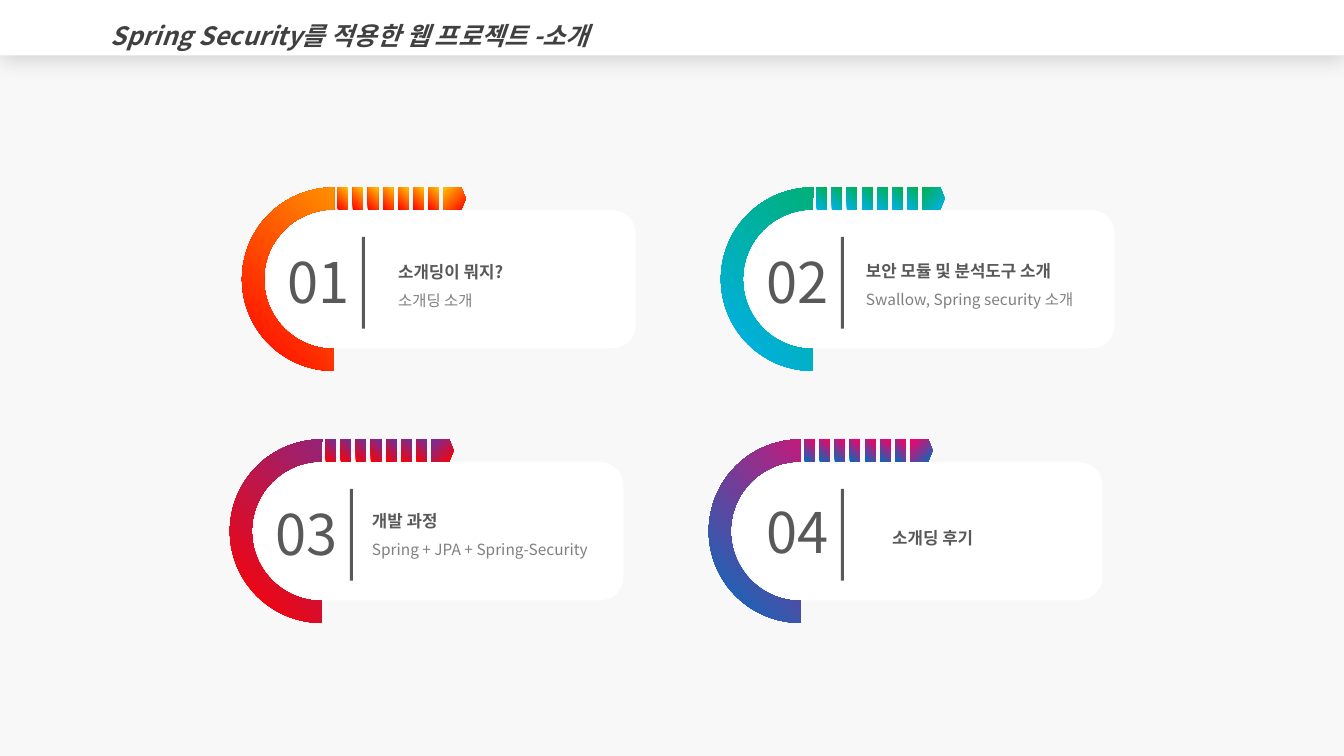
import dataclasses
import typing

import lxml.etree
import pptx
import pptx.dml.color
import pptx.enum.shapes
import pptx.enum.text
import pptx.oxml.ns
import pptx.shapes.autoshape
import pptx.shapes.shapetree
import pptx.slide
import pptx.util

EMU_PER_PX = 9144
FONT = "Noto Sans CJK KR"
WHITE = "FFFFFF"
DARK_GRAY = "595959"
SEGMENT_COUNT = 7
SEGMENT_PITCH = 15
Shape = pptx.shapes.autoshape.Shape
Shapes = typing.Union[pptx.shapes.shapetree.SlideShapes, pptx.shapes.shapetree.GroupShapes]
Preset = pptx.enum.shapes.MSO_SHAPE


class Box(typing.NamedTuple):
    left: int
    top: int
    width: int
    height: int


@dataclasses.dataclass(frozen=True)
class Topic:
    number: str
    lines: tuple[str, ...]
    left: int
    top: int
    colors: tuple[str, str]
    caption: Box
    number_at: tuple[int, int] = (35, 55)
    divider_at: tuple[int, int] = (119, 49)


TOPICS = (
    Topic("01", ("소개딩이 뭐지?", "소개딩 소개"), 240, 186,
          ("FF0000", "FFC000"), Box(385, 245, 251, 65)),
    Topic("02", ("보안 모듈 및 분석도구 소개", "Swallow, Spring security 소개"), 715, 186,
          ("00B0F0", "00B050"), Box(849, 244, 269, 65)),
    Topic("03", ("개발 과정", "Spring + JPA + Spring-Security"), 228, 436,
          ("FF0000", "7030A0"), Box(359, 492, 318, 67)),
    Topic("04", ("소개딩 후기",), 703, 436,
          ("0070C0", "FF0066"), Box(875, 509, 251, 36), (47, 53), (131, 49)),
)


def px(length: int) -> pptx.util.Emu:
    return pptx.util.Emu(length * EMU_PER_PX)


def rgb(color: str) -> pptx.dml.color.RGBColor:
    return pptx.dml.color.RGBColor.from_string(color)


def add_shape(shapes: Shapes, preset: Preset, box: Box, colors: tuple[str, ...],
              rotation: int = 0) -> Shape:
    shape = shapes.add_shape(preset, *map(px, box))
    shape.shadow.inherit = False
    shape.line.fill.background()
    shape.rotation = rotation
    if len(colors) == 1:
        shape.fill.solid()
        shape.fill.fore_color.rgb = rgb(colors[0])
    else:
        shape.fill.gradient()
        shape.fill.gradient_angle = 45
        for stop, color in zip(shape.fill.gradient_stops, colors):
            stop.color.rgb = rgb(color)
    return shape


def format_paragraph(paragraph: typing.Any, size: int, color: str, bold: bool = False,
                     italic: bool = False, spacing: float = 1.0) -> None:
    paragraph.alignment = pptx.enum.text.PP_ALIGN.LEFT
    paragraph.line_spacing = spacing
    for run in paragraph.runs:
        run.font.name = FONT
        run.font.size = pptx.util.Pt(size)
        run.font.bold = bold
        run.font.italic = italic
        run.font.color.rgb = rgb(color)
        east_asian = lxml.etree.SubElement(run.font._element, pptx.oxml.ns.qn("a:ea"))
        east_asian.set("typeface", FONT)


def add_text_box(slide: pptx.slide.Slide, box: Box, text: str, wrap: bool) -> typing.Any:
    text_frame = slide.shapes.add_textbox(*map(px, box)).text_frame
    text_frame.word_wrap = wrap
    text_frame.auto_size = pptx.enum.text.MSO_AUTO_SIZE.SHAPE_TO_FIT_TEXT
    text_frame.text = text
    return text_frame


def add_header_shadow(shape: Shape) -> None:
    qn = pptx.oxml.ns.qn
    effects = lxml.etree.SubElement(shape.element.spPr, qn("a:effectLst"))
    shadow = lxml.etree.SubElement(
        effects, qn("a:outerShdw"), blurRad=str(pptx.util.Pt(15)),
        dist=str(pptx.util.Pt(3)), dir="5400000", algn="t", rotWithShape="0")
    color = lxml.etree.SubElement(shadow, qn("a:srgbClr"), val="000000")
    lxml.etree.SubElement(color, qn("a:alpha"), val="15000")


def add_header(slide: pptx.slide.Slide) -> None:
    title = slide.shapes.title
    title.left, title.top, title.width, title.height = map(px, Box(0, 0, 1333, 55))
    title.fill.solid()
    title.fill.fore_color.rgb = rgb(WHITE)
    add_header_shadow(title)
    text_frame = title.text_frame
    text_frame.text = "Spring Security를 적용한 웹 프로젝트 -소개"
    text_frame.auto_size = pptx.enum.text.MSO_AUTO_SIZE.NONE
    text_frame.vertical_anchor = pptx.enum.text.MSO_ANCHOR.MIDDLE
    text_frame.margin_left = px(110)
    format_paragraph(text_frame.paragraphs[0], 18, "404040", True, True, 1.5)


def add_ribbon(slide: pptx.slide.Slide, topic: Topic) -> None:
    shapes = slide.shapes.add_group_shape().shapes
    left, top = topic.left, topic.top
    arc = add_shape(shapes, Preset.BLOCK_ARC, Box(left, top, 182, 182), topic.colors)
    for index, value in enumerate((53.956, 162.149, 0.12)):
        arc.adjustments[index] = value
    rail = left + 95
    for index in range(SEGMENT_COUNT):
        segment = Box(rail + index * SEGMENT_PITCH, top, 10, 22)
        add_shape(shapes, Preset.RECTANGLE, segment, topic.colors)
    arrow = Box(rail + SEGMENT_COUNT * SEGMENT_PITCH, top, 22, 22)
    add_shape(shapes, Preset.FLOWCHART_OFFPAGE_CONNECTOR, arrow, topic.colors, 270)


def add_topic(slide: pptx.slide.Slide, topic: Topic) -> None:
    left, top = topic.left, topic.top
    card = add_shape(slide.shapes, Preset.ROUND_2_SAME_RECTANGLE,
                     Box(left + 139, top - 92, 137, 366), (WHITE,), 270)
    card.adjustments[0] = 0.5
    card.adjustments[1] = 0.169
    add_ribbon(slide, topic)

    across, down = topic.divider_at
    add_shape(slide.shapes, Preset.RECTANGLE,
              Box(left + across, top + down, 3, 91), (DARK_GRAY,))

    across, down = topic.number_at
    number = add_text_box(slide, Box(left + across, top + down, 82, 77), topic.number, False)
    format_paragraph(number.paragraphs[0], 40, DARK_GRAY)

    caption = add_text_box(slide, topic.caption, "\n".join(topic.lines), True)
    heading, *details = caption.paragraphs
    format_paragraph(heading, 12, DARK_GRAY, True, spacing=1.5)
    for detail in details:
        format_paragraph(detail, 11, "808080", spacing=1.5)


def main() -> None:
    presentation = pptx.Presentation()
    presentation.slide_width = px(1333)
    presentation.slide_height = px(750)
    slide = presentation.slides.add_slide(presentation.slide_layouts[5])
    slide.background.fill.solid()
    slide.background.fill.fore_color.rgb = rgb("F8F8F8")
    add_header(slide)
    for topic in TOPICS:
        add_topic(slide, topic)
    presentation.save("out.pptx")


if __name__ == "__main__":
    main()
